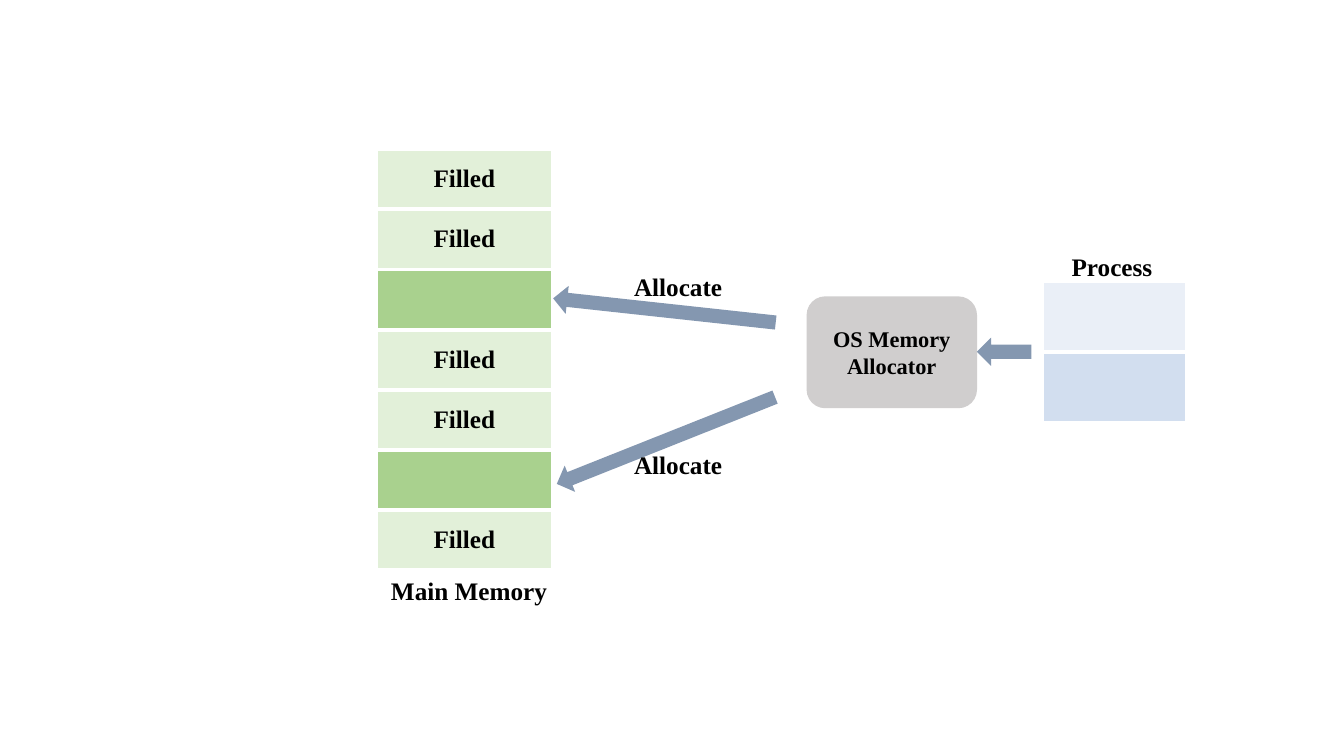
from lxml.etree import SubElement
from pptx import Presentation
from pptx.dml.color import RGBColor
from pptx.enum.shapes import MSO_SHAPE
from pptx.enum.text import MSO_ANCHOR, PP_ALIGN
from pptx.oxml.ns import qn
from pptx.util import Inches, Pt

COLORS = {
    "ink": "000000",
    "edge": "FFFFFF",
    "filled": "E2F0D9",
    "free": "A9D18E",
    "upper": "EAEFF7",
    "lower": "D2DEEF",
    "arrow": "8497B0",
    "box": "D0CECE",
}


class Board:
    font = "Times New Roman"

    def __init__(self, slide):
        self.shapes = slide.shapes

    def paint(self, fill, color):
        fill.solid()
        fill.fore_color.rgb = RGBColor.from_string(COLORS[color])

    def letter(self, frame, text, size=18, align=PP_ALIGN.LEFT):
        frame.word_wrap = True
        line = frame.paragraphs[0]
        line.text = text
        line.alignment = align
        font = line.font
        font.name, font.size, font.bold = self.font, Pt(size), True
        font.color.rgb = RGBColor.from_string(COLORS["ink"])

    def label(self, text, left, top):
        box = self.shapes.add_textbox(
            Inches(left), Inches(top), Inches(2.07), Inches(0.4))
        self.letter(box.text_frame, text)

    def shape(self, kind, color, left, top, width, height, turn=0):
        item = self.shapes.add_shape(
            kind, Inches(left), Inches(top), Inches(width), Inches(height))
        item.shadow.inherit = False
        item.rotation = turn
        self.paint(item.fill, color)
        item.line.fill.background()
        return item

    def arrow(self, left, top, width, turn=0):
        self.shape(MSO_SHAPE.LEFT_ARROW, "arrow", left, top, width, 0.28, turn)

    def block(self, text, left, top, width, height):
        item = self.shape(
            MSO_SHAPE.ROUNDED_RECTANGLE, "box", left, top, width, height)
        item.text_frame.vertical_anchor = MSO_ANCHOR.MIDDLE
        self.letter(item.text_frame, text, 16, PP_ALIGN.CENTER)

    def border(self, cell):
        props = cell._tc.get_or_add_tcPr()
        for side in ("a:lnL", "a:lnR", "a:lnT", "a:lnB"):
            line = SubElement(props, qn(side), w=str(Pt(3)))
            fill = SubElement(line, qn("a:solidFill"))
            SubElement(fill, qn("a:srgbClr"), val=COLORS["edge"])

    def stack(self, cells, left, top, width, height):
        table = self.shapes.add_table(
            len(cells), 1, Inches(left), Inches(top),
            Inches(width), Inches(height)).table
        table.first_row = table.horz_banding = False
        for row, (text, color) in enumerate(cells):
            cell = table.cell(row, 0)
            self.border(cell)
            self.paint(cell.fill, color)
            cell.vertical_anchor = MSO_ANCHOR.MIDDLE
            if text:
                self.letter(cell.text_frame, text, align=PP_ALIGN.CENTER)


def main():
    deck = Presentation()
    deck.slide_width, deck.slide_height = Inches(13.33), Inches(7.5)
    board = Board(deck.slides.add_slide(deck.slide_layouts[6]))

    used, free = ("Filled", "filled"), ("", "free")
    memory = [used, used, free, used, used, free, used]
    board.stack(memory, 3.73, 1.48, 1.75, 4.18)
    board.label("Main Memory", 3.78, 5.66)

    board.stack([("", "upper"), ("", "lower")], 10.34, 2.79, 1.43, 1.4)
    board.label("Process", 10.53, 2.44)

    board.arrow(5.48, 2.94, 2.22, 6.2)
    board.arrow(5.44, 4.23, 2.33, 338.3)
    for top in (2.64, 4.41):
        board.label("Allocate", 6.19, top)

    board.block("OS Memory Allocator", 8, 2.94, 1.69, 1.11)
    board.arrow(9.69, 3.35, 0.54)

    deck.save("out.pptx")


if __name__ == "__main__":
    main()
